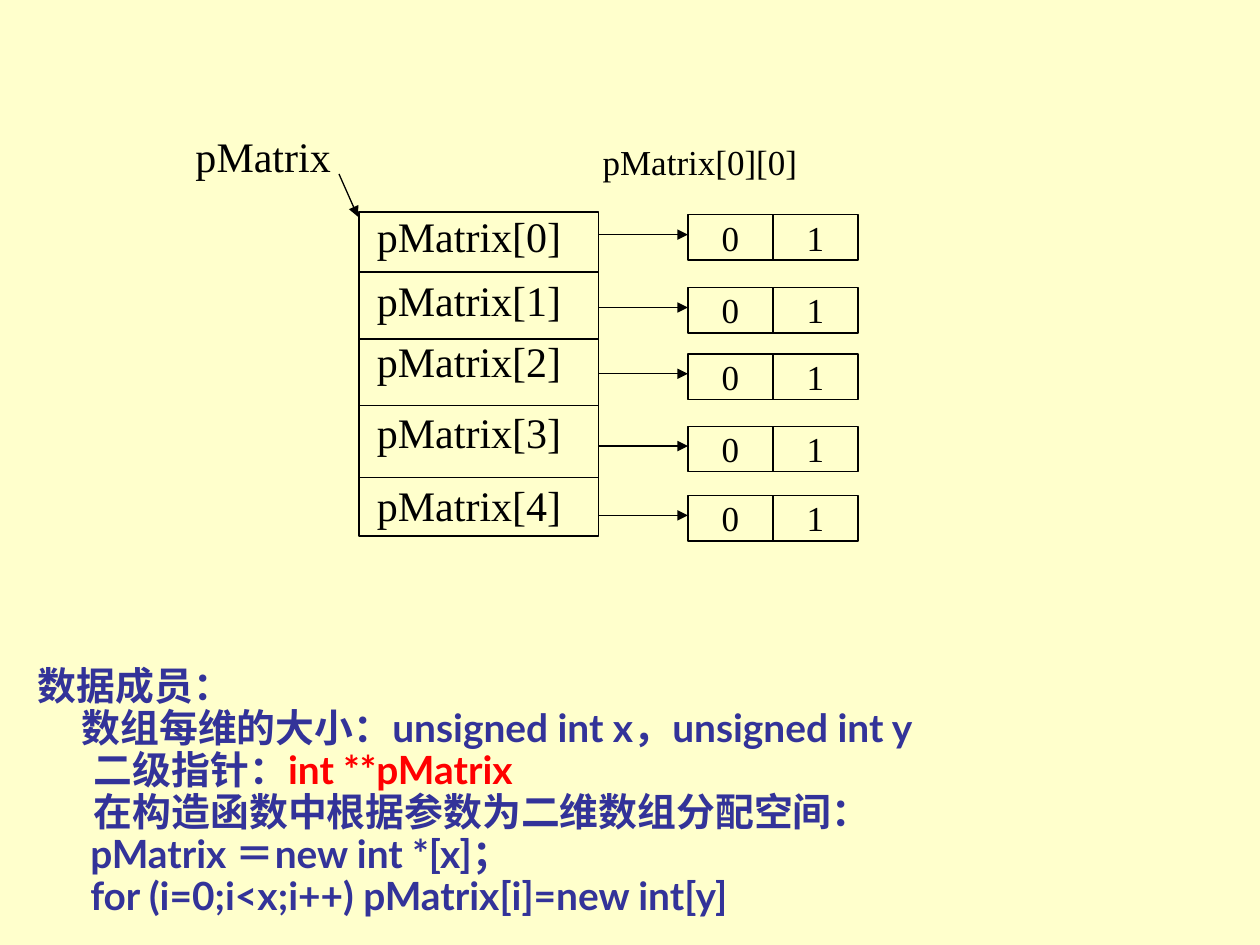
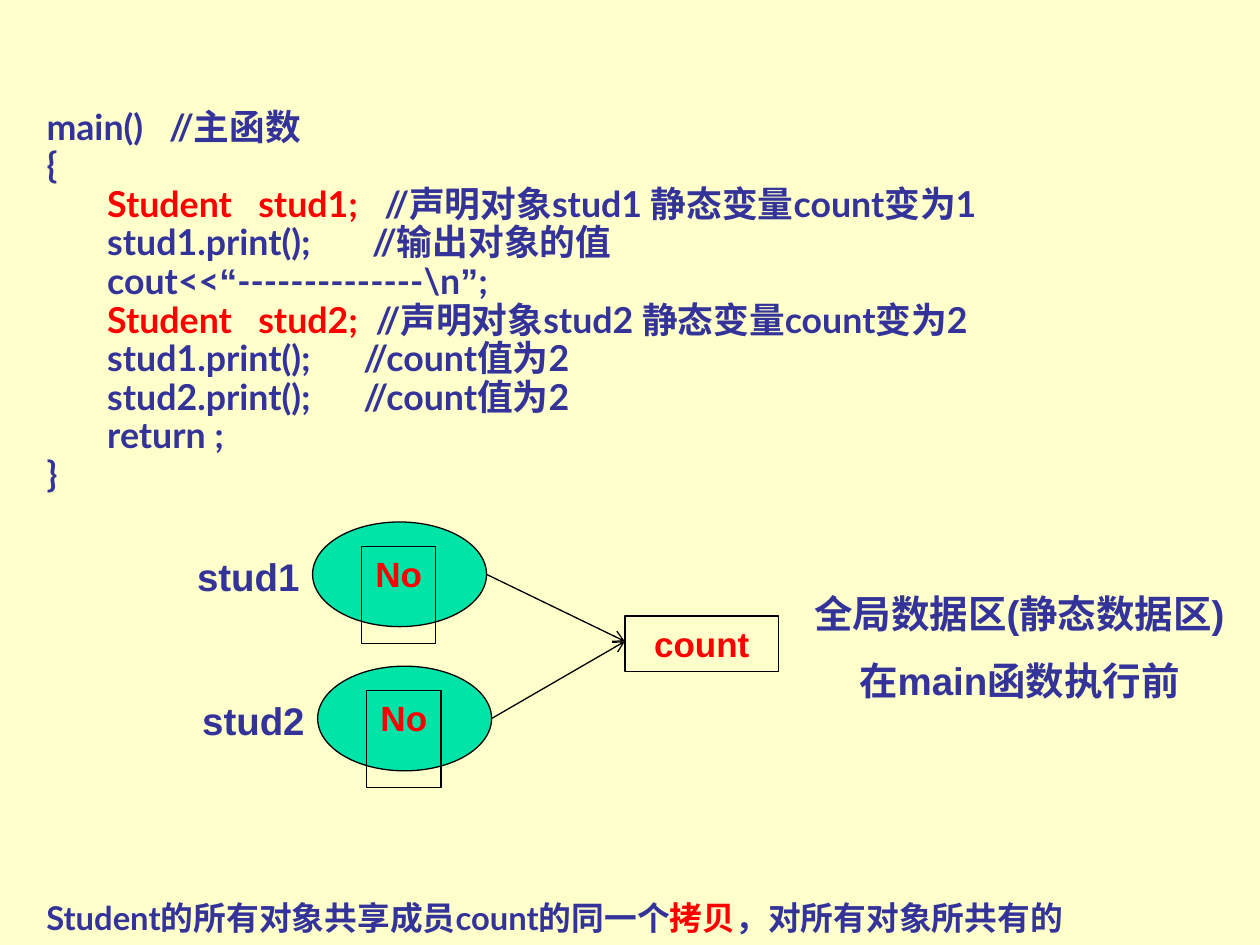
from lxml import etree
from pptx import Presentation
from pptx import util as u
from pptx.dml.color import RGBColor
from pptx.enum import shapes, text
from pptx.oxml.ns import qn

color = RGBColor.from_string
BLACK, BLUE, RED, GREEN, CREAM = "000000", "333399", "FF0000", "00E4A8", "FFFFCC"
LEFT, CENTER = text.PP_ALIGN.LEFT, text.PP_ALIGN.CENTER
TOP, BOTTOM = text.MSO_ANCHOR.TOP, text.MSO_ANCHOR.BOTTOM
RECT, OVAL = shapes.MSO_SHAPE.RECTANGLE, shapes.MSO_SHAPE.OVAL

BODY = {"name": "Lato", "size": u.Pt(22.2), "bold": True}
CODE = {**BODY, "size": u.Pt(20.4)}
SUMMARY = {**BODY, "size": u.Pt(18.7)}
NAME = {"name": "Times New Roman", "size": u.Pt(24), "bold": False}
CELL = {**NAME, "size": u.Pt(20)}
LABEL = {"name": "Arial", "size": u.Pt(22), "bold": True}
MEMBER = {**LABEL, "size": u.Pt(20)}


def fill_box(box, at, lines=(), font=NAME, align=LEFT, anchor=TOP,
             spacing=1.0, margin=3.6, outline=0, fill=None):
    for side, value in zip(("left", "top", "width", "height"), at):
        setattr(box, side, u.Pt(value))
    if outline:
        box.shadow.inherit = False
        box.line.color.rgb = color(BLACK)
        box.line.width = u.Pt(outline)
        if fill:
            box.fill.solid()
            box.fill.fore_color.rgb = color(fill)
        else:
            box.fill.background()
    frame = box.text_frame
    settings = {"word_wrap": True, "auto_size": text.MSO_AUTO_SIZE.NONE,
                "vertical_anchor": anchor, "margin_left": u.Pt(7.2),
                "margin_right": u.Pt(7.2), "margin_top": u.Pt(margin),
                "margin_bottom": u.Pt(margin)}
    for key, value in settings.items():
        setattr(frame, key, value)
    for index, (indent, tabs, spans) in enumerate(lines):
        para = frame.add_paragraph() if index else frame.paragraphs[0]
        props = para._p.get_or_add_pPr()
        if indent:
            props.set("marL", str(u.Pt(indent)))
            props.set("indent", "0")
        if tabs:
            stops = etree.SubElement(props, qn("a:tabLst"))
            for stop in tabs:
                etree.SubElement(stops, qn("a:tab"), pos=str(u.Pt(stop)), algn="l")
        para.alignment = align
        para.line_spacing = spacing
        for words, tint, *face in spans:
            span = para.add_run()
            span.text = words
            for key, value in font.items():
                setattr(span.font, key, value)
            if face:
                span.font.name = face[0]
            span.font.color.rgb = color(tint)


def draw_line(page, start, end, width=0.75, head=None):
    points = [u.Pt(value) for value in (*start, *end)]
    line = page.shapes.add_connector(shapes.MSO_CONNECTOR.STRAIGHT, *points)
    line.line.color.rgb = color(BLACK)
    line.line.width = u.Pt(width)
    if head:
        etree.SubElement(line.line._get_or_add_ln(), qn("a:tailEnd"), type=head)
    etree.SubElement(line._element.spPr, qn("a:effectLst"))


deck = Presentation()
deck.slide_width, deck.slide_height = u.Pt(720), u.Pt(540)
background = deck.slide_master.background.fill
background.solid()
background.fore_color.rgb = color(CREAM)
title_only = deck.slide_layouts[5]

page = deck.slides.add_slide(title_only)
members = [
    (0, (), [("数据成员：", BLUE)]),
    (25, (), [("数组每维的大小：unsigned int x，unsigned int y", BLUE)]),
    (32, (), [("二级指针：", BLUE), ("int **pMatrix", RED)]),
    (32, (), [("在构造函数中根据参数为二维数组分配空间：", BLUE)]),
    (30, (), [("pMatrix ＝new int *[x]；", BLUE)]),
    (30, (), [("for (i=0;i<x;i++) pMatrix[i]=new int[y]", BLUE)]),
]
fill_box(page.shapes.title, (14.4, 349.2, 663.1, 179.3), members, BODY,
         anchor=BOTTOM, spacing=0.9)

array_left, array_top, array_width, array_height = 205.2, 121, 136.8, 185.5
array_right = array_left + array_width
fill_box(page.shapes.add_shape(RECT, 0, 0, 0, 0),
         (array_left, array_top, array_width, array_height), outline=1)
for divider in (155.5, 193.7, 231.8, 272.9):
    draw_line(page, (array_left, divider), (array_right, divider), 1)

cell_left, cell_width, cell_height = 393.1, 48.6, 25.9
row_tops = [(116.6, 122.8), (153.4, 164.4), (187.9, 202.3), (229, 243.6), (270.7, 283.2)]
for row, (label_top, cell_top) in enumerate(row_tops):
    fill_box(page.shapes.add_textbox(0, 0, 0, 0), (208.3, label_top, 130, 36),
             [(0, (), [(f"pMatrix[{row}]", BLACK)])])
    for column in range(2):
        fill_box(page.shapes.add_shape(RECT, 0, 0, 0, 0),
                 (cell_left + column * cell_width, cell_top, cell_width, cell_height),
                 [(0, (), [(str(column), BLACK)])], CELL, CENTER,
                 margin=0.72, outline=0.75)
    arrow_y = cell_top + 11.3
    draw_line(page, (array_right, arrow_y), (cell_left, arrow_y), head="triangle")

for words, font, at in [("pMatrix", NAME, (89.2, 71.3, 122.4, 36)),
                        ("pMatrix[0][0]", CELL, (325, 77, 150, 31))]:
    fill_box(page.shapes.add_textbox(0, 0, 0, 0), at,
             [(0, (), [(words, BLACK)])], font, CENTER)
draw_line(page, (193.7, 99.4), (204.5, 123.8), head="triangle")

page = deck.slides.add_slide(title_only)
program = [
    (0, (70,), [("main()\t//主函数", BLUE)]),
    (0, (), [("{", BLUE)]),
    (0, (121, 193), [("       Student\tstud1;\t", RED),
                     ("//声明对象stud1 静态变量count变为1", BLUE)]),
    (0, (186,), [("       stud1.print();\t//输出对象的值", BLUE)]),
    (0, (), [("       cout<<", BLUE), ("“", BLUE, "Arial"), ("--------------\\n", BLUE),
             ("”", BLUE, "Arial"), (";", BLUE)]),
    (0, (121, 188), [("       Student\tstud2;\t", RED),
                     ("//声明对象stud2 静态变量count变为2", BLUE)]),
    (0, (181,), [("       stud1.print();\t//count值为2", BLUE)]),
    (0, (181,), [("       stud2.print();\t//count值为2", BLUE)]),
    (0, (), [("       return ;", BLUE)]),
    (0, (), [("}", BLUE)]),
]
fill_box(page.shapes.title, (19.4, 20.2, 674.6, 266.4), program, CODE,
         anchor=BOTTOM, spacing=0.9)
summary = [(0, (), [("Student的所有对象共享成员count的同一个", BLUE), ("拷贝", RED),
                    ("，对所有对象所共有的", BLUE)])]
fill_box(page.shapes.add_textbox(0, 0, 0, 0), (19.4, 496, 663.1, 43.2), summary,
         SUMMARY, anchor=BOTTOM, spacing=0.9)

count_left, count_middle = 357.1, 366.5
for student, left, top in [("stud1", 178.6, 298.3), ("stud2", 181.5, 380.7)]:
    fill_box(page.shapes.add_shape(OVAL, 0, 0, 0, 0), (left, top, 99.4, 59.8),
             outline=0.75, fill=GREEN)
    fill_box(page.shapes.add_shape(RECT, 0, 0, 0, 0), (left + 28, top + 14, 42.5, 55.4),
             [(0, (), [("No", RED)])], MEMBER, CENTER, outline=0.75)
    fill_box(page.shapes.add_textbox(0, 0, 0, 0), (left - 74.5, top + 14, 75.6, 33.8),
             [(0, (), [(student, BLUE)])], LABEL, CENTER)
    draw_line(page, (left + 99.4, top + 29.9), (count_left, count_middle), head="arrow")
fill_box(page.shapes.add_shape(RECT, 0, 0, 0, 0), (count_left, 352.1, 87.8, 31.7),
         [(0, (), [("count", RED)])], MEMBER, CENTER, outline=0.75)
for words, top in [("全局数据区(静态数据区)", 333.4), ("在main函数执行前", 372.2)]:
    fill_box(page.shapes.add_textbox(0, 0, 0, 0), (445, top, 275, 33.8),
             [(0, (), [(words, BLUE)])], LABEL, CENTER)

deck.save("out.pptx")
